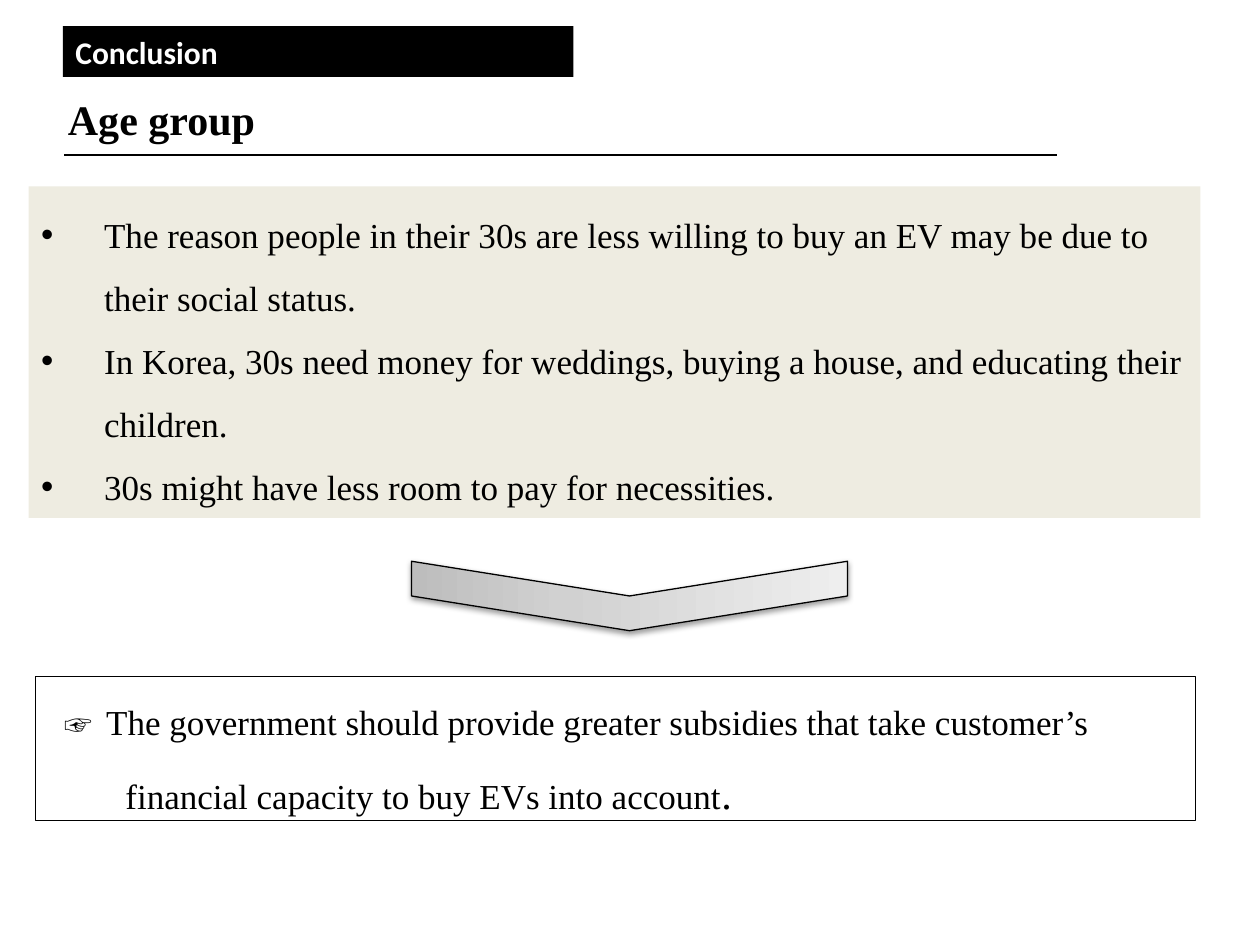
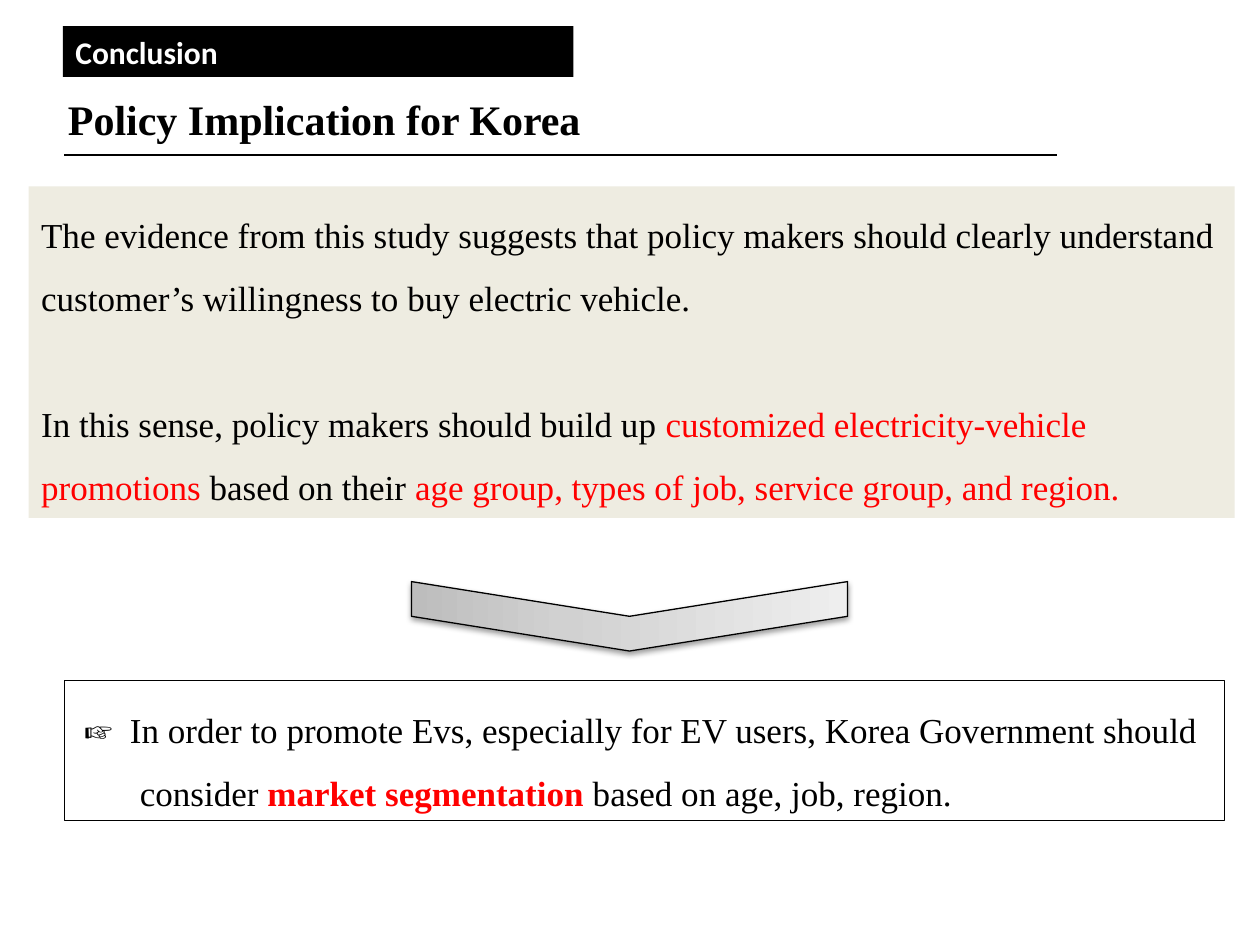
from dataclasses import dataclass
from lxml import etree
from pptx import Presentation
from pptx.dml.color import RGBColor as Color
from pptx.enum.shapes import MSO_CONNECTOR as Connector, MSO_SHAPE as Shape
from pptx.enum.text import MSO_ANCHOR as Anchor, PP_ALIGN as Align
from pptx.oxml import parse_xml
from pptx.oxml.ns import qn
from pptx.util import Cm, Pt


@dataclass(frozen=True)
class Theme:
    black: str = "000000"
    white: str = "FFFFFF"
    beige: str = "EEECE1"
    red: str = "FF0000"
    serif: str = "Times New Roman"
    sans: str = "Calibri"
    symbol: str = "Noto Sans CJK KR"
    heading: int = 24
    band: int = 18
    body: int = 20
    pointer: int = 16


theme = Theme()
DRAWING = 'xmlns:a="http://schemas.openxmlformats.org/drawingml/2006/main"'
GRADIENT = f"""<a:gradFill {DRAWING} rotWithShape="1"><a:gsLst>
<a:gs pos="0"><a:srgbClr val="BDBDBD"/></a:gs>
<a:gs pos="35000"><a:srgbClr val="D1D1D1"/></a:gs>
<a:gs pos="100000"><a:srgbClr val="EEEEEE"/></a:gs>
</a:gsLst><a:lin ang="16200000" scaled="1"/></a:gradFill>"""
SHADOW = f"""<a:effectLst {DRAWING}>
<a:outerShdw blurRad="40000" dist="20000" dir="5400000" rotWithShape="0">
<a:srgbClr val="000000"><a:alpha val="38000"/></a:srgbClr>
</a:outerShdw></a:effectLst>"""


def add_panel(page, left, top, width, height, fill, outline=None):
    panel = page.shapes.add_shape(Shape.RECTANGLE, Cm(left), Cm(top), Cm(width), Cm(height))
    panel.shadow.inherit = False
    panel.fill.solid()
    panel.fill.fore_color.rgb = Color.from_string(fill)
    if outline:
        panel.line.color.rgb = Color.from_string(outline)
        panel.line.width = Pt(0.5)
    else:
        panel.line.fill.background()
    return panel


def write(box, paragraphs, anchor=Anchor.TOP, spacing=1.5, **defaults):
    frame = box.text_frame
    frame.word_wrap = True
    frame.vertical_anchor = anchor
    for index, (layout, spans) in enumerate(paragraphs):
        para = frame.paragraphs[0] if index == 0 else frame.add_paragraph()
        para.alignment = Align.LEFT
        para.line_spacing = spacing
        para.space_before = Pt(layout.get("before", 0))
        properties = para._p.get_or_add_pPr()
        properties.set("marL", str(Cm(layout.get("left", 0))))
        properties.set("indent", str(Cm(layout.get("first", 0))))
        if "bullet" in layout:
            etree.SubElement(properties, qn("a:buFont")).set("typeface", "Arial")
            etree.SubElement(properties, qn("a:buChar")).set("char", layout["bullet"])
        for text, changes in spans:
            style = {"size": theme.body, "font": theme.serif, "color": theme.black,
                     "bold": False, **defaults, **changes}
            span = para.add_run()
            span.text = text
            span.font.size = Pt(style["size"])
            span.font.bold = style["bold"]
            span.font.color.rgb = Color.from_string(style["color"])
            span.font.name = style["font"]
            character = span.font._element
            etree.SubElement(character, qn("a:ea")).set("typeface", style["font"])
            if "tracking" in style:
                character.set("spc", str(style["tracking"]))


bulleted = {"left": 1.27, "first": -1.27, "bullet": "•"}
red = {"color": theme.red}

slides = [
    {
        "title": "Age group",
        "findings_width": 23.62,
        "findings": [
            (bulleted, [(text, {})]) for text in (
                "The reason people in their 30s are less willing to buy an EV may be due to their social status.",
                "In Korea, 30s need money for weddings, buying a house, and educating their children.",
                "30s might have less room to pay for necessities.",
            )
        ],
        "chevron_top": 7.62,
        "advice_place": (0.71, 13.64, 23.39, 2.9),
        "advice": [
            ({"left": 1.57, "first": -1.22}, [
                ("☞ ", {"size": theme.pointer, "font": theme.symbol, "tracking": 200}),
                ("The government should provide greater subsidies that take customer’s", {}),
            ]),
            ({"left": 1.57}, [
                ("financial capacity to buy EVs into account", {}),
                (".", {"size": theme.heading}),
            ]),
        ],
    },
    {
        "title": "Policy Implication for Korea",
        "findings_width": 24.31,
        "findings": [
            ({}, [("The evidence from this study suggests that policy makers should clearly "
                   "understand customer’s willingness to buy electric vehicle.", {})]),
            ({"before": 36}, [
                ("In this sense, policy makers should build up ", {}),
                ("customized electricity-vehicle promotions ", red),
                ("based on their ", {}),
                ("age group, types of job, service group, and region.", red),
            ]),
        ],
        "chevron_top": 8.03,
        "advice_place": (1.3, 13.72, 23.39, 2.82),
        "advice": [
            ({"left": 1.27, "first": -1.12}, [
                ("☞ ", {"tracking": 250}),
                ("In order to promote Evs, especially for EV users, Korea Government should consider ", {}),
                ("market segmentation ", {**red, "bold": True}),
                ("based on age, job, region.", {}),
            ]),
        ],
    },
]

deck = Presentation()
deck.slide_width, deck.slide_height = Cm(25.4), Cm(19.05)

for content in slides:
    page = deck.slides.add_slide(deck.slide_layouts[6])

    band = add_panel(page, 1.27, 0.53, 10.29, 1.02, theme.black)
    write(band, [({}, [("Conclusion", {})])], Anchor.MIDDLE, 1,
          size=theme.band, font=theme.sans, color=theme.white, bold=True)

    rule = page.shapes.add_connector(Connector.STRAIGHT, Cm(1.3), Cm(3.12), Cm(21.31), Cm(3.12))
    rule.line.color.rgb = Color.from_string(theme.black)
    rule.line.width = Pt(1)
    etree.SubElement(rule._element.spPr, qn("a:effectLst"))

    title = page.shapes.add_textbox(Cm(1.12), Cm(1.6), Cm(24.28), Cm(1.57))
    write(title, [({}, [(content["title"], {})])], Anchor.MIDDLE, 1,
          size=theme.heading, bold=True)

    findings = add_panel(page, 0.58, 3.76, content["findings_width"], 6.68, theme.beige)
    write(findings, content["findings"])

    chevron = page.shapes.add_shape(Shape.CHEVRON, Cm(11.99), Cm(content["chevron_top"]), Cm(1.4), Cm(8.79))
    chevron.rotation = 90
    chevron.line.color.rgb = Color.from_string(theme.black)
    chevron.line.width = Pt(0.75)
    properties = chevron._element.spPr
    properties.find(qn("a:ln")).addprevious(parse_xml(GRADIENT))
    properties.append(parse_xml(SHADOW))

    advice = add_panel(page, *content["advice_place"], theme.white, theme.black)
    write(advice, content["advice"], Anchor.MIDDLE)

deck.save("out.pptx")
